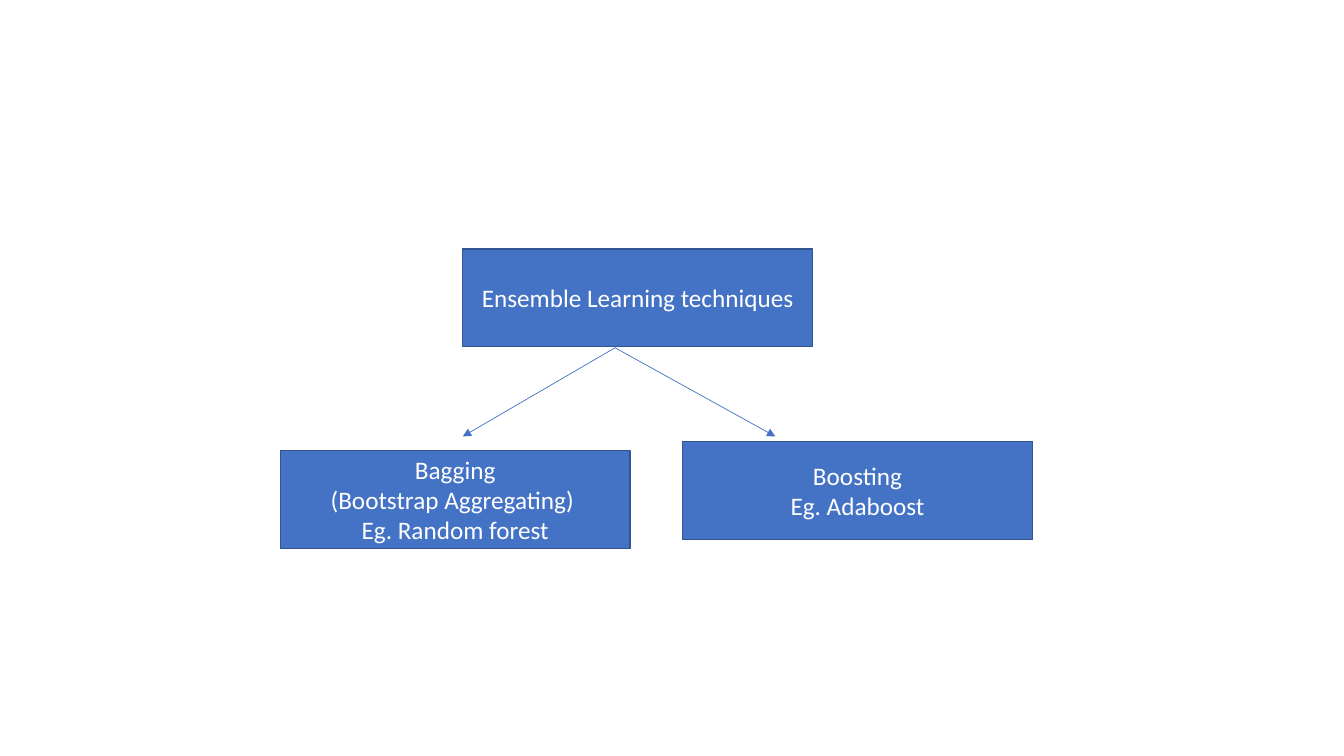
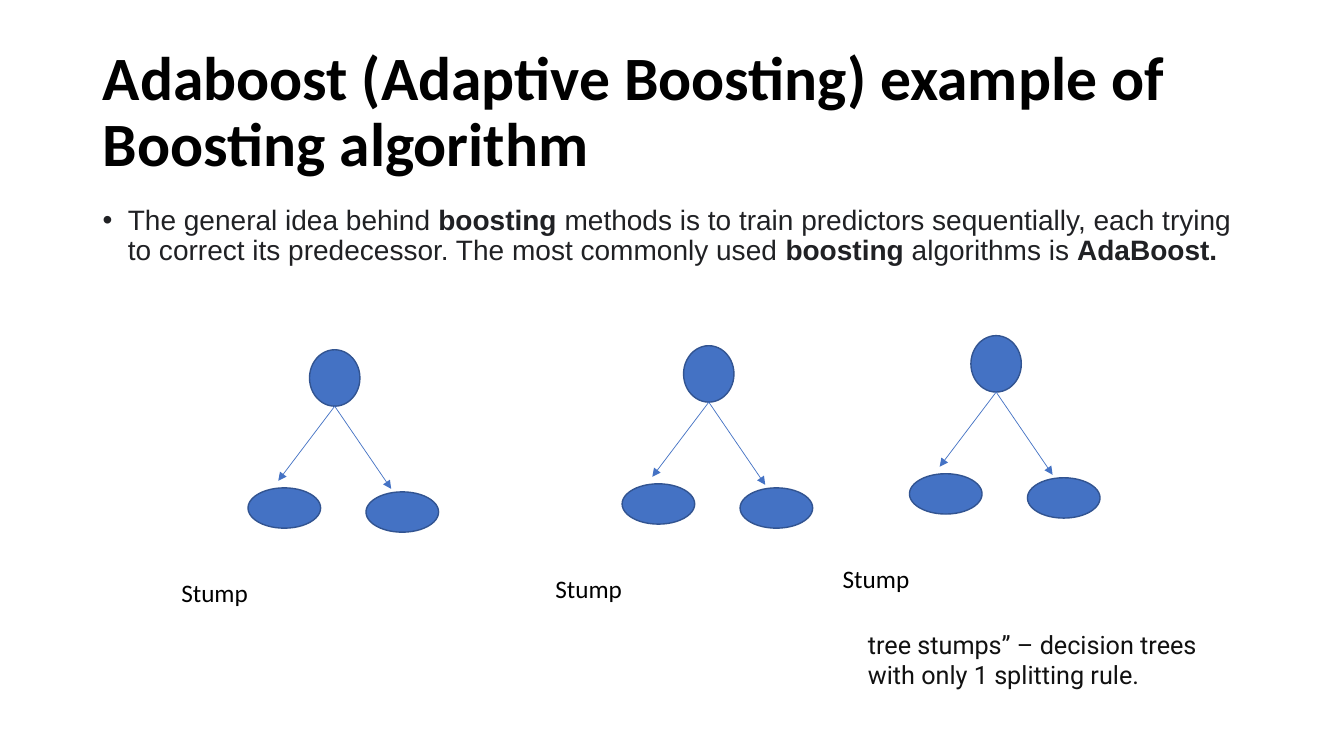
from lxml.etree import SubElement
from pptx import Presentation
from pptx.dml.color import RGBColor
from pptx.enum.shapes import MSO_CONNECTOR, MSO_SHAPE
from pptx.enum.text import MSO_ANCHOR, MSO_AUTO_SIZE, PP_ALIGN
from pptx.oxml.ns import qn
from pptx.util import Inches, Pt

COLORS = {
    "fill": "4472C4",
    "outline": "325491",
    "on_fill": "FFFFFF",
    "text": "000000",
    "body": "202124",
    "note": "111111",
}
TITLE_STYLE = {"name": "Calibri", "size": Pt(44), "bold": True}
LABEL_STYLE = {"name": "Calibri", "size": Pt(18), "bold": False}
BODY_STYLE = {"name": "Arial", "size": Pt(20), "bold": False}
NOTE_STYLE = {"name": "Roboto", "size": Pt(18), "bold": False}

BOX_SIZE = (3.47, 0.97)
ROOT_SIZE = (0.5, 0.56)
LEAF_SIZE = (0.72, 0.4)


def color(key):
    return RGBColor.from_string(COLORS[key])


def set_attributes(target, values):
    for name, value in values.items():
        setattr(target, name, value)


def add_span(para, text, style, color_key, **changes):
    span = para.add_run()
    span.text = text
    set_attributes(span.font, {**style, **changes})
    span.font.color.rgb = color(color_key)


def add_filled_shape(page, kind, left, top, size):
    shape = page.shapes.add_shape(kind, *map(Inches, (left, top, *size)))
    shape.shadow.inherit = False
    shape.fill.solid()
    shape.fill.fore_color.rgb = color("fill")
    shape.line.color.rgb = color("outline")
    shape.line.width = Pt(1)
    return shape


def add_labelled_box(page, left, top, lines):
    box = add_filled_shape(page, MSO_SHAPE.RECTANGLE, left, top, BOX_SIZE)
    frame = box.text_frame
    set_attributes(frame, {"word_wrap": True, "vertical_anchor": MSO_ANCHOR.MIDDLE})
    for index, line in enumerate(lines):
        para = frame.add_paragraph() if index else frame.paragraphs[0]
        para.alignment = PP_ALIGN.CENTER
        add_span(para, line, LABEL_STYLE, "on_fill")


def add_arrow(page, start, end):
    arrow = page.shapes.add_connector(
        MSO_CONNECTOR.STRAIGHT, *map(Inches, (*start, *end))
    )
    arrow.line.color.rgb = color("fill")
    arrow.line.width = Pt(0.5)
    SubElement(arrow.line._get_or_add_ln(), qn("a:tailEnd"), type="triangle")
    SubElement(arrow._element.spPr, qn("a:effectLst"))


def add_text_box(page, left, top, width, height):
    """Add a wrapping text box and return its first paragraph."""
    box = page.shapes.add_textbox(*map(Inches, (left, top, width, height)))
    box.text_frame.word_wrap = True
    return box.text_frame.paragraphs[0]


def add_title(page, text):
    title = page.shapes.title
    set_attributes(title, {
        "left": Inches(0.92), "top": Inches(0.4),
        "width": Inches(11.5), "height": Inches(1.45),
    })
    set_attributes(title.text_frame, {
        "word_wrap": True,
        "auto_size": MSO_AUTO_SIZE.NONE,
        "vertical_anchor": MSO_ANCHOR.MIDDLE,
    })
    para = title.text_frame.paragraphs[0]
    set_attributes(para, {"alignment": PP_ALIGN.LEFT, "line_spacing": 0.9})
    add_span(para, text, TITLE_STYLE, "text")


def add_bullet(page, spans):
    """Add one bullet from (text, is_bold) pairs."""
    para = add_text_box(page, 0.92, 2, 11.5, 4.76)
    set_attributes(para, {"line_spacing": 0.9, "space_before": Pt(10)})
    properties = para._p.get_or_add_pPr()
    properties.set("marL", str(Inches(0.25)))
    properties.set("indent", str(-Inches(0.25)))
    SubElement(properties, qn("a:buFont"), typeface="Arial")
    SubElement(properties, qn("a:buChar"), char="•")
    for text, bold in spans:
        add_span(para, text, BODY_STYLE, "body", bold=bold)


def add_stump(page, x, y):
    """Draw a two-leaf tree whose arrows leave the root at (x, y)."""
    width, height = ROOT_SIZE
    add_filled_shape(page, MSO_SHAPE.OVAL, x - width / 2, y - height, ROOT_SIZE)
    for tip_x, tip_y in ((-0.56, 0.74), (0.56, 0.82)):
        add_arrow(page, (x, y), (x + tip_x, y + tip_y))
    for leaf_x, leaf_y in ((-0.86, 0.81), (0.31, 0.85)):
        add_filled_shape(page, MSO_SHAPE.OVAL, x + leaf_x, y + leaf_y, LEAF_SIZE)
    label = add_text_box(page, x - 1.62, y + 1.65, 3, 0.4)
    add_span(label, "Stump", LABEL_STYLE, "text")


def build_techniques(deck):
    page = deck.slides.add_slide(deck.slide_layouts.get_by_name("Blank"))
    add_labelled_box(page, 4.59, 2.47, ["Ensemble Learning techniques"])
    for tip_x in (4.59, 7.69):
        add_arrow(page, (6.1, 3.45), (tip_x, 4.33))
    add_labelled_box(page, 2.78, 4.47, [
        "Bagging", "(Bootstrap Aggregating) ", "Eg. Random forest",
    ])
    add_labelled_box(page, 6.77, 4.38, ["Boosting", "Eg. Adaboost"])


def build_adaboost(deck):
    page = deck.slides.add_slide(deck.slide_layouts.get_by_name("Title Only"))
    add_title(page, "Adaboost (Adaptive Boosting) example of Boosting algorithm")
    add_bullet(page, [
        ("The general idea behind ", False),
        ("boosting", True),
        (" methods is to train predictors sequentially, each trying to correct "
         "its predecessor. The most commonly used ", False),
        ("boosting", True),
        (" algorithms is ", False),
        ("AdaBoost.", True),
    ])
    for x, y in ((7.03, 3.99), (9.88, 3.89), (3.32, 4.03)):
        add_stump(page, x, y)
    note = add_text_box(page, 8.51, 6.19, 3.46, 0.71)
    add_span(note, "tree stumps” – decision trees with only 1 splitting rule.",
             NOTE_STYLE, "note")


def main():
    deck = Presentation()
    deck.slide_width = Inches(13.33)
    deck.slide_height = Inches(7.5)
    build_techniques(deck)
    build_adaboost(deck)
    deck.save("out.pptx")


if __name__ == "__main__":
    main()
